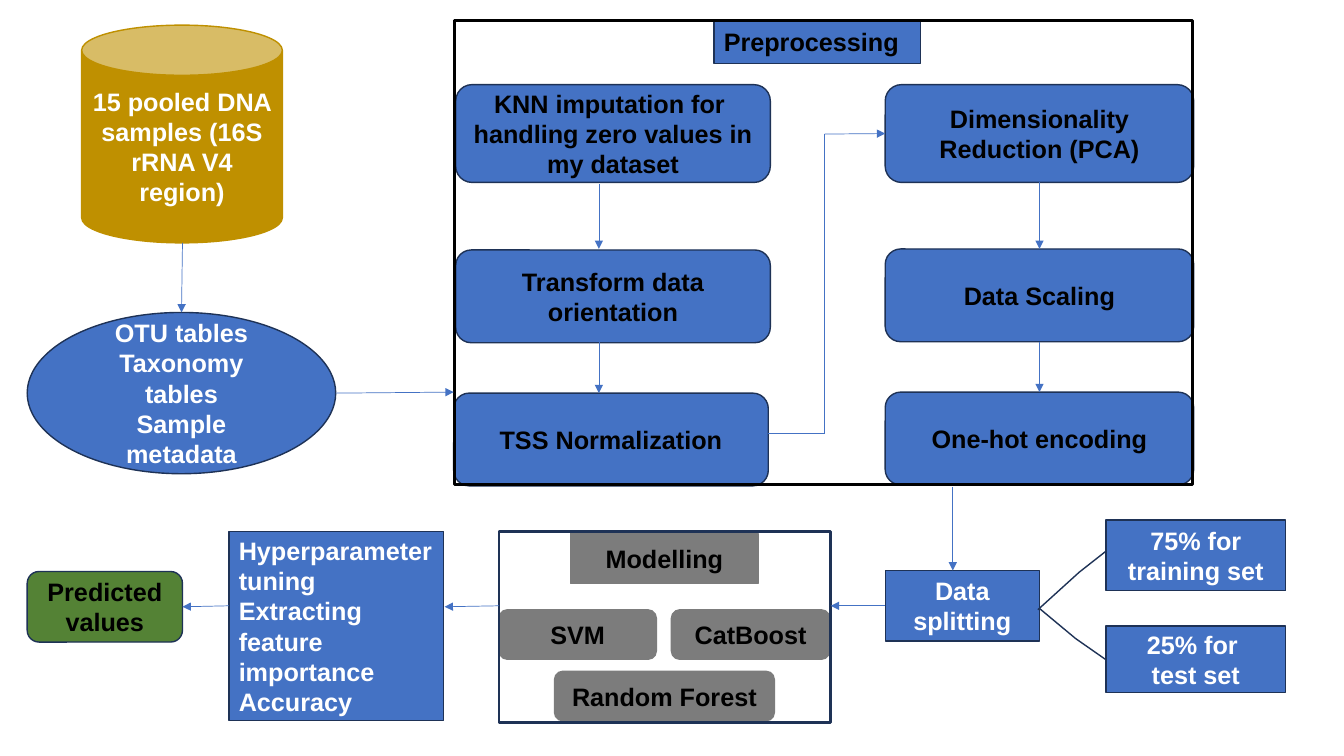
import pptx
import pptx.util
import pptx.dml.color
import pptx.enum.shapes
import pptx.enum.text
import pptx.oxml.ns
import pptx.oxml.xmlchemy

Inches = pptx.util.Inches
Pt = pptx.util.Pt
RGB = pptx.dml.color.RGBColor
Kind = pptx.enum.shapes.MSO_SHAPE
Align = pptx.enum.text.PP_ALIGN

BLUE = RGB(0x44, 0x72, 0xC4)
NAVY = RGB(0x1E, 0x32, 0x56)
GOLD = RGB(0xBF, 0x90, 0x00)
GREEN = RGB(0x54, 0x82, 0x35)
GRAY = RGB(0x7C, 0x7C, 0x7C)
BLACK = RGB(0, 0, 0)
WHITE = RGB(0xFF, 0xFF, 0xFF)

TOP, LEFT, BOTTOM, RIGHT = range(4)


class Chart:
    font = "Arial"
    size = Pt(18)

    def __init__(self, slide):
        self.slide = slide

    def box(self, text, at, kind=Kind.ROUNDED_RECTANGLE, fill=BLUE, line=NAVY,
            ink=BLACK, align=Align.CENTER):
        shape = self.slide.shapes.add_shape(kind, *map(Inches, at))
        shape.shadow.inherit = False
        shape.fill.solid()
        shape.fill.fore_color.rgb = fill
        shape.line.color.rgb = line
        shape.line.width = Pt(1)
        frame = shape.text_frame
        frame.word_wrap = True
        frame.vertical_anchor = pptx.enum.text.MSO_ANCHOR.MIDDLE
        frame.text = text
        for para in frame.paragraphs:
            para.alignment = align
            for run in para.runs:
                run.font.name = self.font
                run.font.size = self.size
                run.font.bold = True
                run.font.color.rgb = ink
        return shape

    def frame(self, at, line):
        shape = self.slide.shapes.add_shape(Kind.RECTANGLE, *map(Inches, at))
        shape.shadow.inherit = False
        shape.fill.background()
        shape.line.color.rgb = line
        shape.line.width = Pt(2)

    def callout(self, text, at, bends):
        shape = self.box(text, at, Kind.LINE_CALLOUT_2, ink=WHITE)
        for i, bend in enumerate(bends):
            shape.adjustments[i] = bend

    def link(self, start, end, head=True, source=None, target=None):
        """Draw a line; source and target are (shape, side) joins."""
        link = self.slide.shapes.add_connector(
            pptx.enum.shapes.MSO_CONNECTOR.STRAIGHT,
            *map(Inches, start + end))
        if source:
            link.begin_connect(*source)
        if target:
            link.end_connect(*target)
        link.line.color.rgb = BLUE
        link.line.width = Pt(0.5)
        qn = pptx.oxml.ns.qn
        make = pptx.oxml.xmlchemy.OxmlElement
        props = link._element.find(qn("p:spPr"))
        if head:
            tail = make("a:tailEnd")
            tail.set("type", "triangle")
            props.find(qn("a:ln")).append(tail)
        props.append(make("a:effectLst"))


def main():
    deck = pptx.Presentation()
    deck.slide_width = Inches(13.33)
    deck.slide_height = Inches(7.5)
    chart = Chart(deck.slides.add_slide(deck.slide_layouts[6]))

    # Data source
    chart.box("15 pooled DNA samples (16S rRNA V4 region)",
              (0.81, 0.25, 1.99, 2.16), Kind.CAN, GOLD, GOLD, WHITE)
    tables = chart.box("OTU tables\nTaxonomy tables\nSample metadata",
                       (0.27, 3.1, 3.06, 1.6), Kind.OVAL, ink=WHITE)

    # Preprocessing steps
    chart.box("KNN imputation for \nhandling zero values in my dataset",
              (4.52, 0.84, 3.12, 0.97))
    chart.box("Transform data orientation", (4.52, 2.48, 3.12, 0.92))
    chart.box("TSS Normalization", (4.5, 3.9, 3.12, 0.92))
    reduce = chart.box("Dimensionality Reduction (PCA)",
                       (8.78, 0.84, 3.06, 0.97))
    scale = chart.box("Data Scaling", (8.78, 2.47, 3.06, 0.92))
    encode = chart.box("One-hot encoding", (8.78, 3.89, 3.06, 0.92))
    chart.box("Preprocessing", (7.08, 0.2, 2.05, 0.43), Kind.RECTANGLE,
              align=Align.LEFT)
    chart.frame((4.51, 0.2, 7.32, 4.61), BLACK)

    # Data splitting
    split = chart.box("Data splitting", (8.78, 5.66, 1.53, 0.7),
                      Kind.RECTANGLE, ink=WHITE)
    chart.callout("75% for training set", (10.97, 5.16, 1.78, 0.7),
                  (0.44, 0, 0.74, -0.15, 1.27, -0.38))
    chart.callout("25% for \ntest set", (10.97, 6.21, 1.78, 0.66),
                  (0.51, 0, 0.19, -0.17, -0.26, -0.37))

    # Models
    for name, at in (("Random Forest", (5.5, 6.66, 2.18, 0.49)),
                     ("SVM", (4.95, 6.05, 1.56, 0.49)),
                     ("CatBoost", (6.66, 6.05, 1.57, 0.49))):
        chart.box(name, at, fill=GRAY, line=GRAY)
    chart.box("Modelling", (5.66, 5.29, 1.86, 0.5), Kind.RECTANGLE,
              GRAY, GRAY)
    chart.frame((4.95, 5.27, 3.29, 1.9), NAVY)

    # Tuning and result
    chart.box("Hyperparameter tuning\nExtracting feature importance\nAccuracy",
              (2.27, 5.27, 2.13, 1.88), Kind.RECTANGLE, ink=WHITE,
              align=Align.LEFT)
    result = chart.box("Predicted values", (0.27, 5.67, 1.54, 0.7),
                       fill=GREEN)

    # Arrows into and inside preprocessing
    chart.link((1.81, 2.41), (1.81, 3.1), target=(tables, TOP))
    chart.link((3.33, 3.9), (4.5, 3.89))
    chart.link((5.94, 1.83), (5.94, 2.47))
    chart.link((5.94, 3.39), (5.94, 3.9))
    for upper, lower in ((reduce, scale), (scale, encode)):
        chart.link((10.31, 1.81), (10.31, 2.47),
                   source=(upper, BOTTOM), target=(lower, TOP))

    # Bent path between the two columns
    chart.link((7.62, 4.3), (8.18, 4.3), head=False)
    chart.link((8.18, 1.33), (8.18, 4.3), head=False)
    chart.link((8.18, 1.33), (8.78, 1.33), target=(reduce, LEFT))

    # Arrows along the bottom row
    chart.link((9.45, 4.83), (9.45, 5.66))
    chart.link((8.78, 6.01), (8.24, 6.01), source=(split, LEFT))
    chart.link((4.95, 6.01), (4.41, 6.02))
    chart.link((2.27, 6.01), (1.81, 6.02), target=(result, RIGHT))

    deck.save("out.pptx")


if __name__ == "__main__":
    main()
